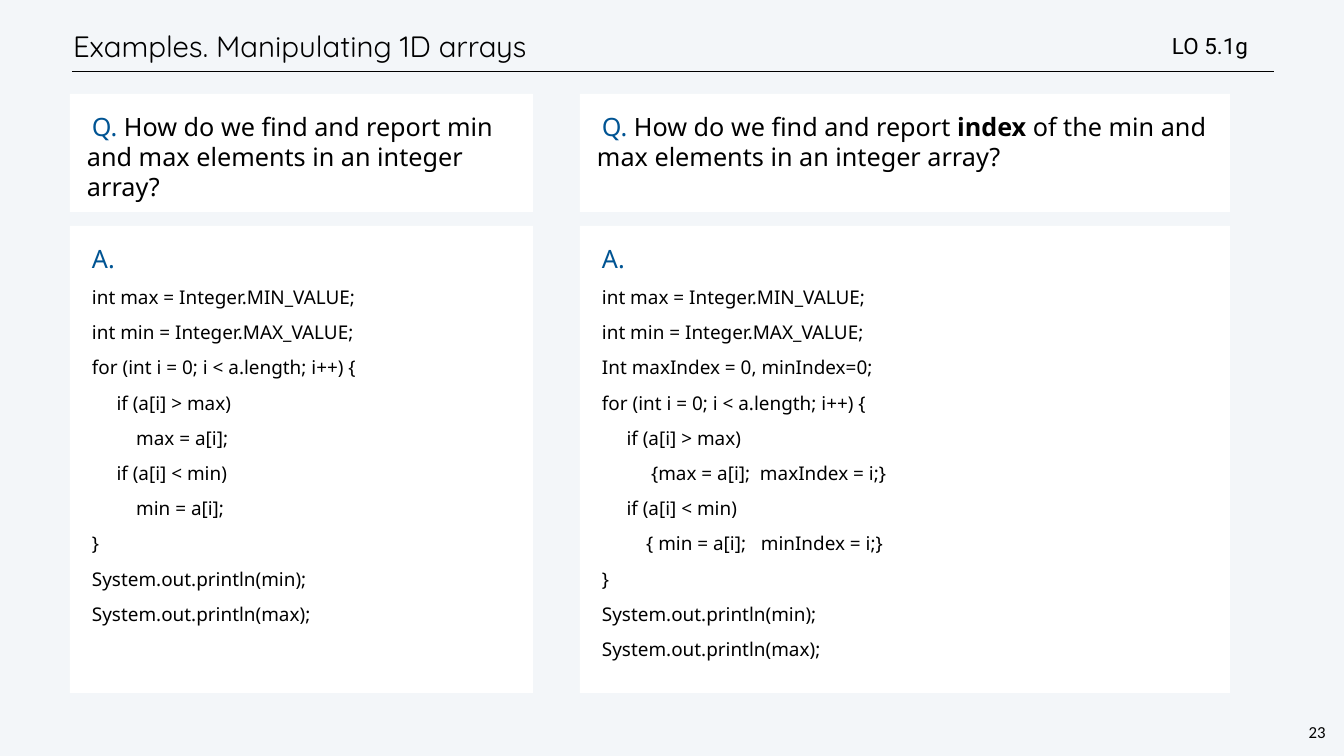
from pptx import Presentation, util as u
from pptx.dml.color import RGBColor
from pptx.enum import shapes, text as t
from lxml import etree

PX = 18143  # EMU in one px
HUE = {"back": "F3F6F9", "card": "FFFFFF", "ink": "000000", "blue": "005493"}

# Content: a question is a list of (words, bold) runs
TITLE, GOAL, PAGE = "Examples. Manipulating 1D arrays", "LO 5.1g", "23"
PAIRS = [
    {
        "left": 70, "width": 463,
        "ask": [("How do we find and report min and max elements in an integer array?", False)],
        "code": """int max = Integer.MIN_VALUE;
int min = Integer.MAX_VALUE;
for (int i = 0; i < a.length; i++) {
     if (a[i] > max)
         max = a[i];
     if (a[i] < min)
         min = a[i];
}
System.out.println(min);
System.out.println(max);""",
    },
    {
        "left": 580, "width": 650,
        "ask": [("How do we find and report ", False), ("index", True),
                (" of the min and max elements in an integer array?", False)],
        "code": """int max = Integer.MIN_VALUE;
int min = Integer.MAX_VALUE;
Int maxIndex = 0, minIndex=0;
for (int i = 0; i < a.length; i++) {
     if (a[i] > max)
          {max = a[i];  maxIndex = i;}
     if (a[i] < min)
         { min = a[i];   minIndex = i;}
}
System.out.println(min);
System.out.println(max);""",
    },
]
ASK_TOP, ASK_HIGH = 94, 118
CODE_TOP, CODE_HIGH = 226, 467


def color(name):
    return RGBColor.from_string(HUE[name])


def write(frame, words, size=36, font="Noto Sans", hue="ink", bold=False,
          new=False, line=None, gap=0, indent=0, align=t.PP_ALIGN.LEFT):
    """Add a run to the last paragraph, or to a new one."""
    para = frame.add_paragraph() if new else frame.paragraphs[-1]
    para.alignment = align
    if line:
        para.line_spacing = u.Pt(line)
    if gap:
        para.space_before = u.Pt(gap)
    if indent:
        prop = para._p.get_or_add_pPr()
        prop.set("marL", "0")
        prop.set("indent", str(indent * PX))
    run = para.add_run()
    run.text = words
    run.font.size, run.font.name, run.font.bold = u.Pt(size), font, bold
    run.font.color.rgb = color(hue)


def setup(shape, inset, anchor, wrap=True):
    frame = shape.text_frame
    frame.word_wrap = wrap
    frame.vertical_anchor = anchor
    frame.margin_left = frame.margin_right = inset * PX
    frame.margin_top = frame.margin_bottom = inset * PX
    return frame


def label(slide, box, inset=3, anchor=t.MSO_ANCHOR.MIDDLE, wrap=True):
    shape = slide.shapes.add_textbox(*(n * PX for n in box))
    return setup(shape, inset, anchor, wrap)


def card(slide, box):
    shape = slide.shapes.add_shape(shapes.MSO_SHAPE.RECTANGLE, *(n * PX for n in box))
    shape.shadow.inherit = False
    shape.fill.solid()
    shape.fill.fore_color.rgb = color("card")
    shape.line.fill.background()
    return setup(shape, 17, t.MSO_ANCHOR.TOP)


def main():
    deck = Presentation()
    deck.slide_width, deck.slide_height = 1344 * PX, 756 * PX
    slide = deck.slides.add_slide(deck.slide_layouts[6])
    slide.background.fill.solid()
    slide.background.fill.fore_color.rgb = color("back")

    # Header: rule, title, goal
    rule = slide.shapes.add_connector(
        shapes.MSO_CONNECTOR.STRAIGHT, 72 * PX, 71 * PX, 1274 * PX, 71 * PX)
    rule.line.color.rgb = color("ink")
    rule.line.width = u.Pt(1)
    etree.SubElement(
        rule._element.spPr, "{http://schemas.openxmlformats.org/drawingml/2006/main}effectLst")
    write(label(slide, (70, 21, 1140, 50)), TITLE, size=42, font="Quicksand", line=50)
    write(label(slide, (1169, 29, 151, 33)), GOAL, size=32, font="Roboto")

    # Question cards above answer cards
    for pair in PAIRS:
        left, width = pair["left"], pair["width"]
        ask = card(slide, (left, ASK_TOP, width, ASK_HIGH))
        write(ask, "Q. ", hue="blue", line=43, indent=5)
        for words, bold in pair["ask"]:
            write(ask, words, bold=bold)
        reply = card(slide, (left, CODE_TOP, width, CODE_HIGH))
        write(reply, "A.", hue="blue", line=43, indent=5)
        for row in pair["code"].split("\n"):
            write(reply, row, size=27, new=True, line=32.3, gap=18, indent=5)

    # Page number
    foot = label(slide, (1306, 720, 22, 24), inset=2, anchor=t.MSO_ANCHOR.TOP, wrap=False)
    write(foot, PAGE, size=24, font="Calibri", line=28, align=t.PP_ALIGN.CENTER)

    deck.save("out.pptx")


if __name__ == "__main__":
    main()
